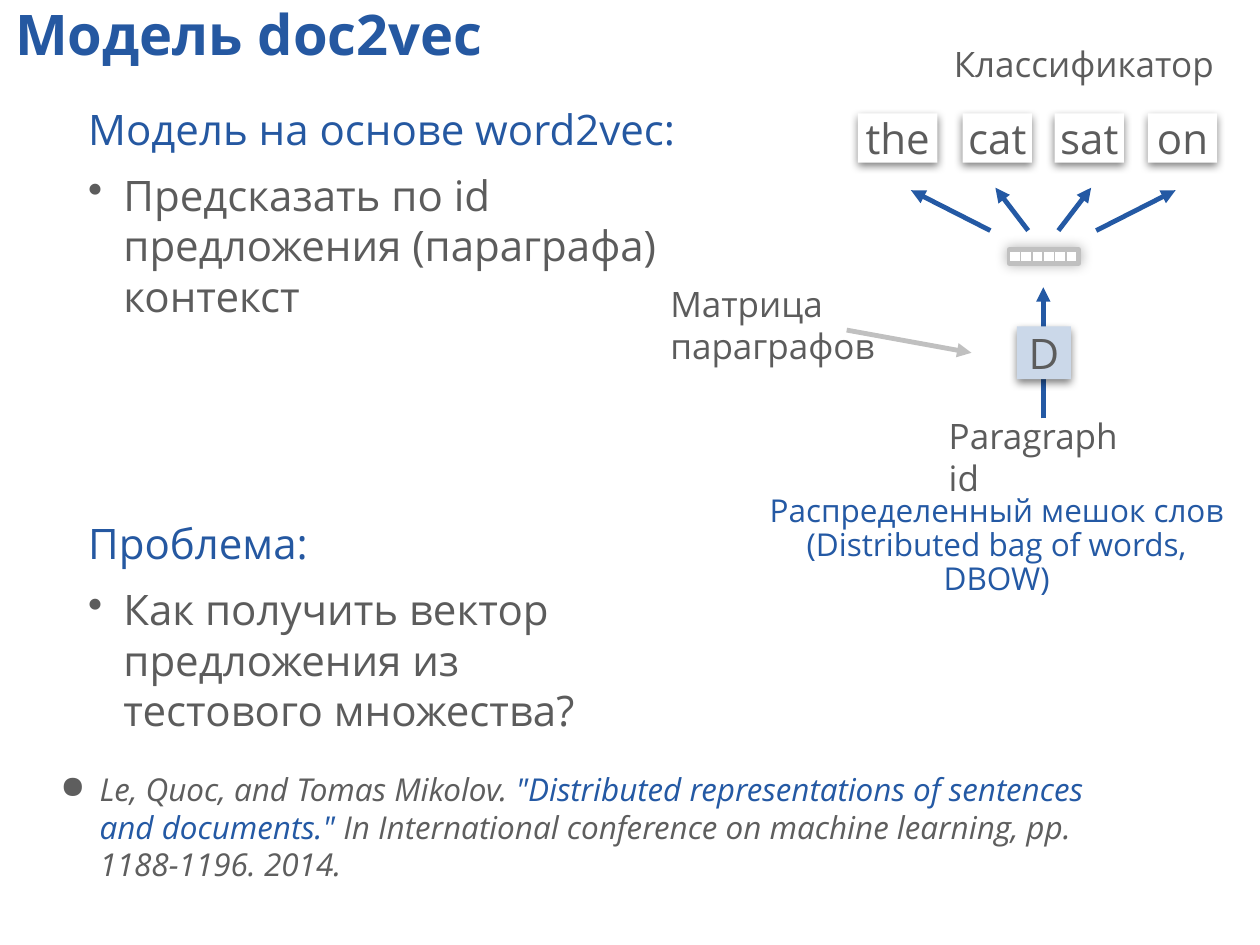
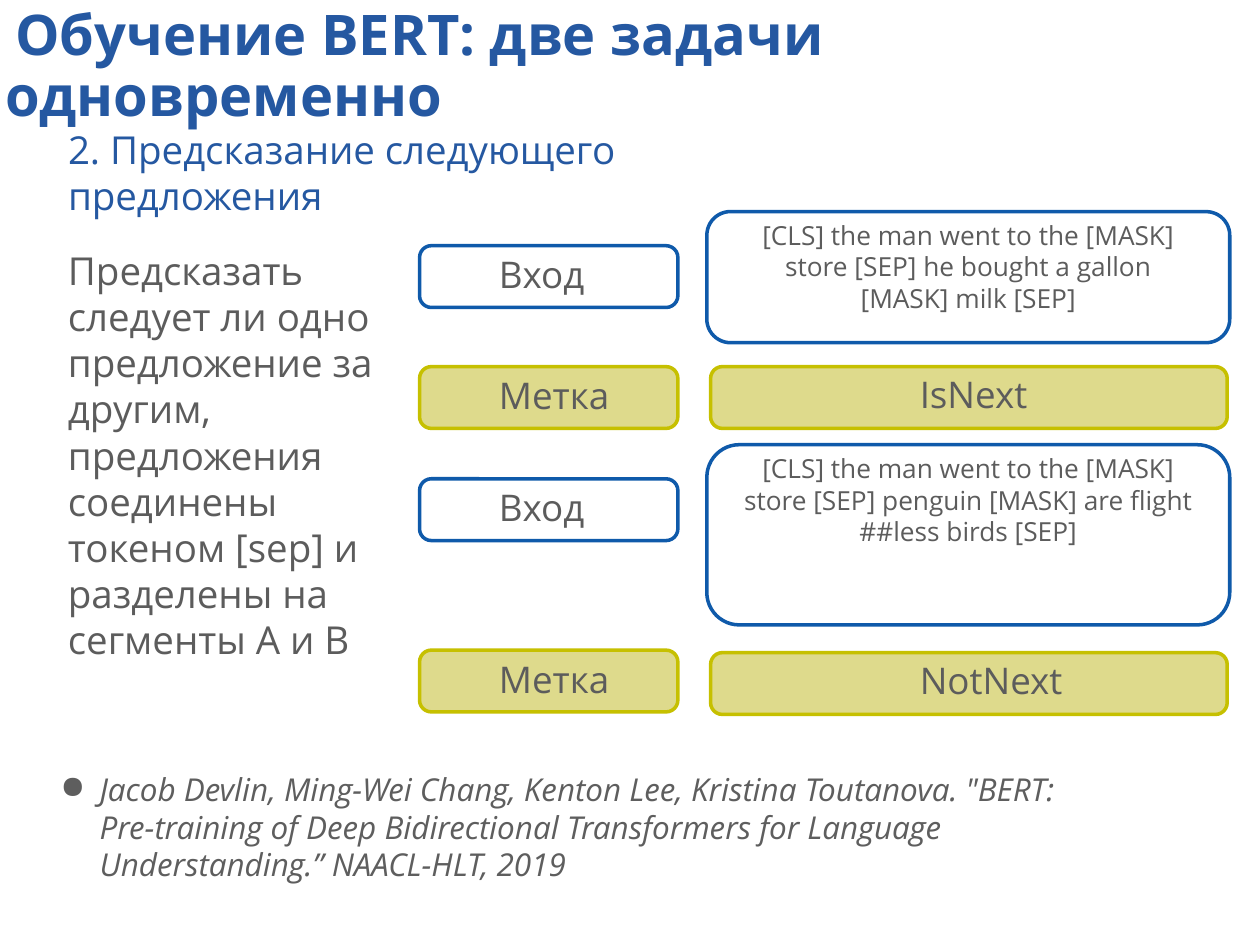
import pptx
import pptx.util
import pptx.dml.color
import pptx.enum.shapes
import pptx.enum.text
import pptx.oxml.ns
from lxml import etree

PX = 9144  # EMU per px, 100 px to the inch
RGB = pptx.dml.color.RGBColor
SHAPE = pptx.enum.shapes.MSO_SHAPE
ANCHOR = pptx.enum.text.MSO_ANCHOR
ALIGN = pptx.enum.text.PP_ALIGN
AUTO = pptx.enum.text.MSO_AUTO_SIZE

FONT = "Open Sans"
HEADING = RGB(0x25, 0x58, 0xA1)
ACCENT = RGB(0x24, 0x59, 0xA4)
BODY = RGB(0x5C, 0x5C, 0x5C)
CITATION = RGB(0x5E, 0x5E, 0x5E)
WHITE = RGB(0xFF, 0xFF, 0xFF)
SILVER = RGB(0xC0, 0xC0, 0xC0)
PALE_BLUE = RGB(0xCB, 0xD8, 0xE9)
INPUT_LINE = RGB(0x0F, 0x5A, 0xAA)
LABEL_FILL = RGB(0xDE, 0xDA, 0x8C)
LABEL_LINE = RGB(0xC6, 0xC0, 0x00)

# Shadows: opacity %, blur pt, distance pt, direction in degrees
CARD_SHADOW = (50, 5, 2, 90)
GLOW_SHADOW = (30, 7, 0, 0)


def px(*lengths):
    return [round(length * PX) for length in lengths]


def sub(parent, tag, **attributes):
    values = {name: str(value) for name, value in attributes.items()}
    return etree.SubElement(parent, pptx.oxml.ns.qn(tag), values)


def write(frame, text, size=24, color=BODY, bold=False, italic=False,
          align=None, spacing=None, before=None, indent=None, bullet=None):
    """Add a paragraph; text is a string or a list of (string, colour) runs."""
    paragraph = frame.paragraphs[0]
    if paragraph.runs:
        paragraph = frame.add_paragraph()
    if align is not None:
        paragraph.alignment = align
    if spacing:
        paragraph.line_spacing = spacing
    if before:
        paragraph.space_before = pptx.util.Pt(before)
    properties = paragraph._p.get_or_add_pPr()
    if indent:
        left, first = px(*indent)
        properties.set("marL", str(left))
        properties.set("indent", str(first))
    if bullet:
        sub(sub(properties, "a:buClr"), "a:srgbClr", val=color)
        sub(properties, "a:buChar", char=bullet)
    pieces = [(text, color)] if isinstance(text, str) else text
    for words, tint in pieces:
        run = paragraph.add_run()
        run.text = words
        font = run.font
        font.name, font.size = FONT, pptx.util.Pt(size)
        font.bold, font.italic = bold, italic
        font.color.rgb = tint


class Deck:
    def __init__(self):
        self.file = pptx.Presentation()
        self.file.slide_width, self.file.slide_height = px(1000, 750)
        self.slide = None

    def new_slide(self, title):
        self.slide = self.file.slides.add_slide(self.file.slide_layouts[6])
        frame = self.frame(-1, 1, 998, 60, inset=5, grow=False)
        write(frame, title, size=32, color=HEADING, bold=True,
              spacing=0.9, indent=(0, 8))

    def prepare(self, frame, anchor, inset=3):
        frame.word_wrap = True
        frame.vertical_anchor = anchor
        margin, = px(inset)
        frame.margin_left = frame.margin_right = margin
        frame.margin_top = frame.margin_bottom = margin

    def frame(self, x, y, w, h, anchor=ANCHOR.TOP, inset=3, grow=True):
        frame = self.slide.shapes.add_textbox(*px(x, y, w, h)).text_frame
        self.prepare(frame, anchor, inset)
        frame.auto_size = AUTO.SHAPE_TO_FIT_TEXT if grow else AUTO.NONE
        return frame

    def label(self, x, y, w, h, text, anchor=ANCHOR.MIDDLE, **style):
        write(self.frame(x, y, w, h, anchor), text, **style)

    def section(self, x, y, w, h, heading, point):
        frame = self.frame(x, y, w, h)
        write(frame, heading, color=HEADING)
        write(frame, point, before=9, indent=(28, -28), bullet="•")

    def citation(self, text):
        self.label(45, 608, 845, 96, text, size=18, color=CITATION,
                   italic=True, indent=(31, -31), bullet="●")

    def box(self, x, y, w, h, fill=WHITE, line=None, width=2.0, shadow=None,
            rounding=None, text=None):
        kind = SHAPE.ROUNDED_RECTANGLE if rounding else SHAPE.RECTANGLE
        shape = self.slide.shapes.add_shape(kind, *px(x, y, w, h))
        if rounding:
            shape.adjustments[0] = rounding
        shape.fill.solid()
        shape.fill.fore_color.rgb = fill
        if line is None:
            shape.line.fill.background()
        else:
            shape.line.color.rgb = line
            shape.line.width = pptx.util.Pt(width)
        shape.shadow.inherit = False
        if shadow:
            self.cast(shape, *shadow)
        if text:
            self.prepare(shape.text_frame, ANCHOR.MIDDLE)
            write(shape.text_frame, text, align=ALIGN.CENTER)

    def cast(self, shape, opacity, blur, distance, direction):
        effects = shape._element.spPr.find(pptx.oxml.ns.qn("a:effectLst"))
        outer = sub(effects, "a:outerShdw", blurRad=blur * 12700,
                    dist=distance * 12700, dir=direction * 60000,
                    rotWithShape=0)
        color = sub(outer, "a:srgbClr", val="000000")
        sub(color, "a:alpha", val=opacity * 1000)

    def arrow(self, x1, y1, x2, y2, color=ACCENT):
        straight = pptx.enum.shapes.MSO_CONNECTOR.STRAIGHT
        line = self.slide.shapes.add_connector(straight, *px(x1, y1, x2, y2))
        line.line.color.rgb = color
        line.line.width = pptx.util.Pt(2.75)
        sub(line.line._get_or_add_ln(), "a:tailEnd", type="triangle")
        sub(line._element.spPr, "a:effectLst")


def doc2vec_slide(deck):
    deck.new_slide("Модель doc2vec")
    deck.section(67, 79, 472, 180, "Модель на основе word2vec:",
                 "Предсказать по id предложения (параграфа) контекст")
    deck.section(67, 408, 451, 196, "Проблема:",
                 "Как получить вектор предложения из тестового множества?")
    deck.citation([
        ("Le, Quoc, and Tomas Mikolov. ", CITATION),
        ("\"Distributed representations of sentences and documents.\" ",
         ACCENT),
        ("In International conference on machine learning, "
         "pp. 1188-1196. 2014.", CITATION)])

    # Predicted context words
    deck.label(754, 31, 226, 39, "Классификатор", size=20)
    for x, w, word in ((681, 63, "the"), (764, 55, "cat"),
                       (837, 55, "sat"), (911, 55, "on")):
        deck.box(x, 90, w, 39, shadow=CARD_SHADOW, text=word)

    # Arrows fan out evenly on both sides of the axis
    axis = 828
    for side in (-1, 1):
        for start, end, tip in ((42, 105, 151), (12, 38, 149)):
            deck.arrow(axis + side * start, 183, axis + side * end, tip)

    # Paragraph vector
    deck.box(801, 198, 55, 11, line=SILVER, width=2.75, shadow=GLOW_SHADOW)
    for cell in range(6):
        deck.box(801 + 9 * cell, 199, 9, 9, line=SILVER, width=1)

    # Paragraph matrix and its input
    deck.label(529, 221, 174, 73, "Матрица параграфов", size=20)
    deck.arrow(672, 262, 771, 280, color=SILVER)
    deck.arrow(axis, 332, axis, 228)
    deck.box(807, 259, 43, 42, fill=PALE_BLUE, shadow=CARD_SHADOW, text="D")
    deck.label(750, 343, 166, 39, "Paragraph id", size=20)

    # Name of the scheme
    scheme = deck.frame(594, 403, 394, 61, ANCHOR.MIDDLE)
    for line in ("Распределенный мешок слов",
                 "(Distributed bag of words, DBOW)"):
        write(scheme, line, size=18, color=ACCENT, align=ALIGN.CENTER,
              spacing=0.9)


def bert_slide(deck):
    deck.new_slide("Обучение BERT: две задачи одновременно")
    deck.citation("Jacob Devlin, Ming-Wei Chang, Kenton Lee, Kristina "
                  "Toutanova. \"BERT: Pre-training of Deep Bidirectional "
                  "Transformers for Language Understanding.” "
                  "NAACL-HLT, 2019")
    deck.label(51, 97, 549, 79, "2. Предсказание следующего предложения",
               anchor=ANCHOR.TOP, size=22, color=HEADING)
    deck.label(51, 193, 297, 339,
               "Предсказать следует ли одно предложение за другим, "
               "предложения соединены токеном [sep] и разделены на "
               "сегменты A и B", anchor=ANCHOR.TOP, size=22)

    input_style = dict(fill=WHITE, line=INPUT_LINE)
    label_style = dict(fill=LABEL_FILL, line=LABEL_LINE)

    # Each example: input tag, sentence pair, label tag, verdict
    examples = (
        (195, 168, 104, "[CLS] the man went to the [MASK] store [SEP] "
         "he bought a gallon [MASK] milk [SEP]", 291, 291, "IsNext", 100),
        (380, 353, 143, "[CLS] the man went to the [MASK] store [SEP] "
         "penguin [MASK] are flight ##less birds [SEP]",
         516, 518, "NotNext", 134))
    for (input_y, pair_y, pair_h, pair, label_y, verdict_y, verdict,
         verdict_w) in examples:
        for y, tag, tag_w, style in ((input_y, "Вход", 76, input_style),
                                     (label_y, "Метка", 97, label_style)):
            deck.box(333, y, 205, 49, rounding=0.19, **style)
            deck.label(393, y + 2, tag_w, 41, tag, size=21)
        deck.box(561, pair_y, 415, pair_h, rounding=0.18, **input_style)
        deck.label(585, pair_y + 3, 367, 81, pair, size=15,
                   align=ALIGN.CENTER)
        deck.box(564, verdict_y, 410, 49, rounding=0.19, **label_style)
        deck.label(727, verdict_y + 1, verdict_w, 41, verdict, size=21)


def main():
    deck = Deck()
    doc2vec_slide(deck)
    bert_slide(deck)
    deck.file.save("out.pptx")


if __name__ == "__main__":
    main()
